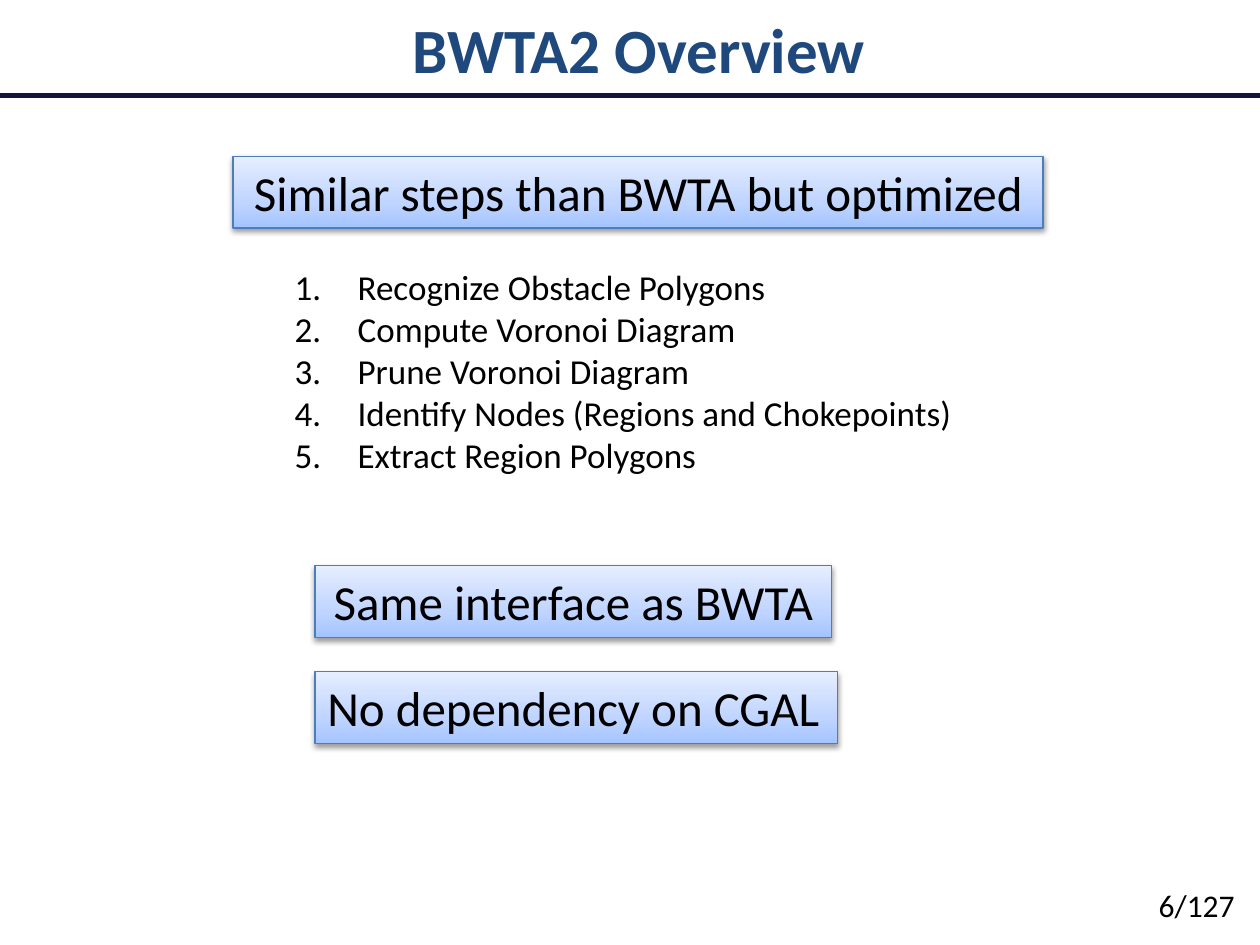
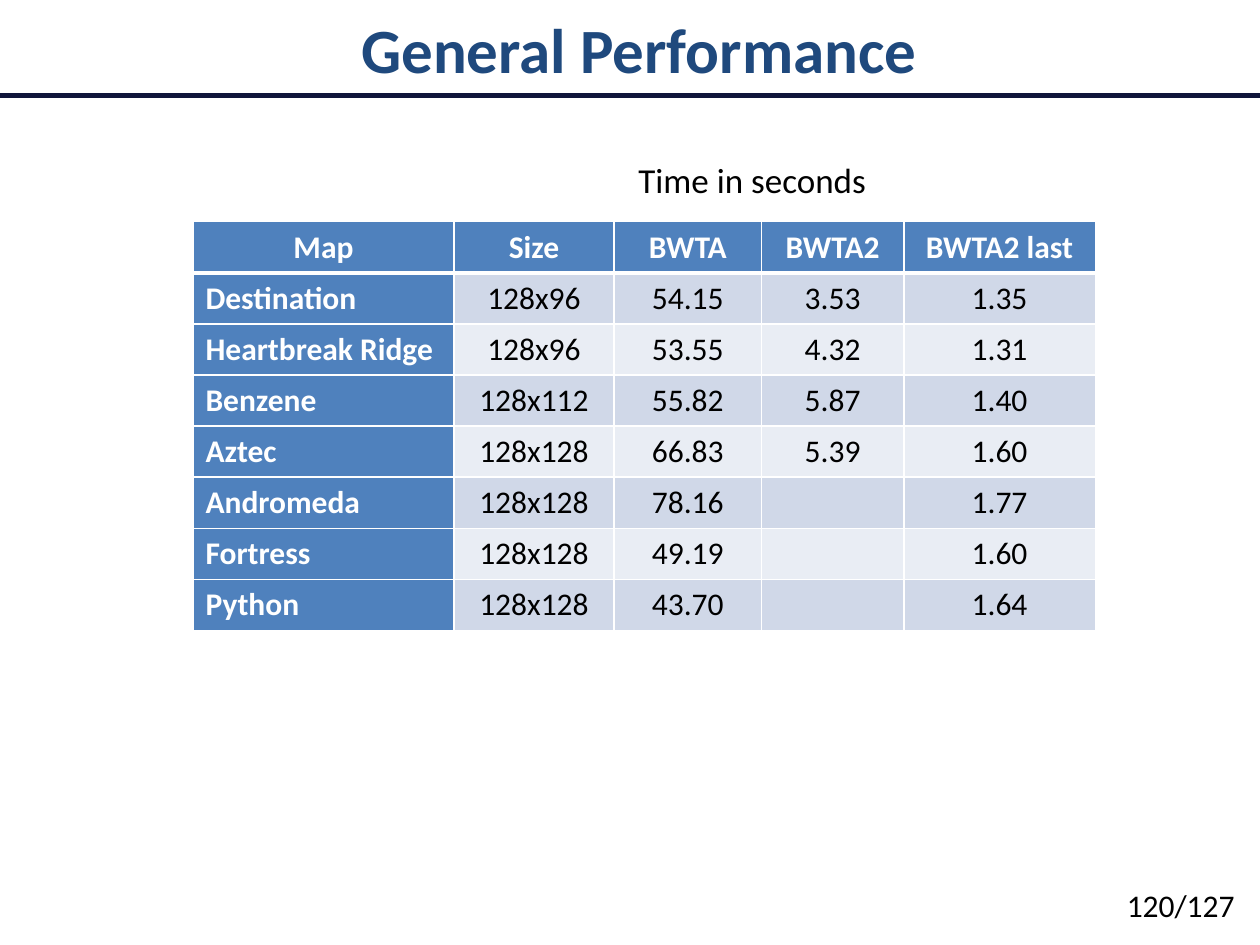
import copy

import lxml.etree
import pptx
import pptx.dml.color
import pptx.enum.shapes
import pptx.enum.text
import pptx.oxml.ns
import pptx.util

Cm, Pt = pptx.util.Cm, pptx.util.Pt
ALIGN = pptx.enum.text.PP_ALIGN
ANCHOR = pptx.enum.text.MSO_ANCHOR
FIT = pptx.enum.text.MSO_AUTO_SIZE.SHAPE_TO_FIT_TEXT
qn = pptx.oxml.ns.qn

WIDE, HIGH = 25.4, 19.05
FONT = "Calibri"
COLORS = {
    "text": "000000", "title": "1F497D", "rule": "10153B", "edge": "4B7EBC",
    "low": "A4C4FF", "mid": "BFD4FF", "high": "E6EEFF",
    "head": "4F81BD", "odd": "D0D8E8", "even": "E9EDF4", "white": "FFFFFF",
}
BLEND = [("low", 0), ("mid", 0.35), ("high", 1)]

STEPS = [
    "Recognize Obstacle Polygons",
    "Compute Voronoi Diagram",
    "Prune Voronoi Diagram",
    "Identify Nodes (Regions and Chokepoints)",
    "Extract Region Polygons",
]
TIMES = [
    ["Map", "Size", "BWTA", "BWTA2", "BWTA2 last"],
    ["Destination", "128x96", "54.15", "3.53", "1.35"],
    ["Heartbreak Ridge", "128x96", "53.55", "4.32", "1.31"],
    ["Benzene", "128x112", "55.82", "5.87", "1.40"],
    ["Aztec", "128x128", "66.83", "5.39", "1.60"],
    ["Andromeda", "128x128", "78.16", "", "1.77"],
    ["Fortress", "128x128", "49.19", "", "1.60"],
    ["Python", "128x128", "43.70", "", "1.64"],
]
WIDTHS = [5.26, 3.23, 2.97, 2.87, 3.86]
ROW = 1.03


def rgb(name):
    return pptx.dml.color.RGBColor.from_string(COLORS[name])


def node(parent, tag, **attrs):
    return lxml.etree.SubElement(parent, qn(tag), attrs)


def write(para, text, size, color="text", bold=False, align=ALIGN.LEFT):
    para.alignment = align
    run = para.add_run()
    run.text = text
    font = run.font
    font.name, font.size, font.bold = FONT, Pt(size), bold
    font.color.rgb = rgb(color)


def add_text(slide, box, wrap=True):
    frame = slide.shapes.add_textbox(*map(Cm, box)).text_frame
    frame.word_wrap = wrap
    return frame


def add_frame(slide, title, page):
    """Title, rule and page number that every slide carries."""
    number = add_text(slide, (22.02, 17.73, 3.12, 1.02))
    write(number.paragraphs[0], f"{page}/127", 18, align=ALIGN.RIGHT)
    rule = slide.shapes.add_connector(
        pptx.enum.shapes.MSO_CONNECTOR.STRAIGHT, 0, Cm(1.93), Cm(WIDE), Cm(1.93))
    rule.line.color.rgb = rgb("rule")
    rule.line.width = Pt(3)
    node(rule._element.spPr, "a:effectLst")
    head = add_text(slide, (2.44, 0, 20.88, 1.93))
    head.vertical_anchor = ANCHOR.MIDDLE
    write(head.paragraphs[0], title, 36, "title", True, ALIGN.CENTER)


def add_claim(slide, box, text, align=ALIGN.CENTER):
    """Shaded box with a soft shadow and one line of large text."""
    shape = slide.shapes.add_shape(
        pptx.enum.shapes.MSO_SHAPE.RECTANGLE, *map(Cm, box))
    shape.fill.gradient()
    shape.fill.gradient_angle = 90
    props = shape._element.spPr
    stops = props.find(".//" + qn("a:gsLst"))
    stops.insert(1, copy.deepcopy(stops[0]))
    for stop, (name, place) in zip(shape.fill.gradient_stops, BLEND):
        stop.color.rgb = rgb(name)
        stop.position = place
    shape.line.color.rgb = rgb("edge")
    shape.line.width = Pt(0.75)
    shape.shadow.inherit = False
    shade = node(props.find(qn("a:effectLst")), "a:outerShdw", blurRad="40000",
                 dist="20000", dir="5400000", rotWithShape="0")
    tint = node(shade, "a:srgbClr", val=COLORS["text"])
    node(tint, "a:alpha", val="38000")
    frame = shape.text_frame
    frame.word_wrap = False
    frame.auto_size = FIT
    frame.vertical_anchor = ANCHOR.TOP
    write(frame.paragraphs[0], text, 28, align=align)


def add_steps(slide, box, steps):
    frame = add_text(slide, box)
    for i, step in enumerate(steps):
        para = frame.add_paragraph() if i else frame.paragraphs[0]
        props = para._p.get_or_add_pPr()
        props.set("marL", str(Cm(1.27)))
        props.set("indent", str(-Cm(1.27)))
        node(props, "a:buFont", typeface="+mj-lt")
        node(props, "a:buAutoNum", type="arabicPeriod")
        write(para, step, 20)


def edge_cell(cell, head):
    """White borders, with a thick one under the head row."""
    props = cell._tc.get_or_add_tcPr()
    for i, side in enumerate("LRTB"):
        width = Pt(3 if head and side == "B" else 1)
        line = node(props, "a:ln" + side, w=str(width))
        node(node(line, "a:solidFill"), "a:srgbClr", val=COLORS["white"])
        props.insert(i, line)


def add_times(slide, left, top, rows):
    size = map(Cm, (left, top, sum(WIDTHS), ROW * len(rows)))
    table = slide.shapes.add_table(len(rows), len(WIDTHS), *size).table
    table.first_col = True
    for col, width in zip(table.columns, WIDTHS):
        col.width = Cm(width)
    for r, row in enumerate(rows):
        table.rows[r].height = Cm(ROW)
        for c, text in enumerate(row):
            cell = table.cell(r, c)
            strong = r == 0 or c == 0
            cell.fill.solid()
            cell.fill.fore_color.rgb = rgb(
                "head" if strong else "odd" if r % 2 else "even")
            edge_cell(cell, r == 0)
            if text:
                write(cell.text_frame.paragraphs[0], text, 18,
                      "white" if strong else "text", strong,
                      ALIGN.LEFT if r and c == 0 else ALIGN.CENTER)


def add_slide(deck, title, page):
    slide = deck.slides.add_slide(deck.slide_layouts[6])
    add_frame(slide, title, page)
    return slide


def main():
    deck = pptx.Presentation()
    deck.slide_width, deck.slide_height = Cm(WIDE), Cm(HIGH)

    slide = add_slide(deck, "BWTA2 Overview", 6)
    add_claim(slide, (4.7, 3.15, 16.33, 1.45),
              "Similar steps than BWTA but optimized")
    add_steps(slide, (5.69, 5.23, 14.05, 4.52), STEPS)
    add_claim(slide, (6.35, 11.4, 10.41, 1.45), "Same interface as BWTA")
    add_claim(slide, (6.35, 13.54, 10.54, 1.45), "No dependency on CGAL", ALIGN.LEFT)

    slide = add_slide(deck, "General Performance", 120)
    add_times(slide, 3.89, 4.47, TIMES)
    note = add_text(slide, (12.62, 3.07, 5.16, 1.12), wrap=False)
    note.auto_size = FIT
    write(note.paragraphs[0], "Time in seconds", 20)

    deck.save("out.pptx")


if __name__ == "__main__":
    main()
